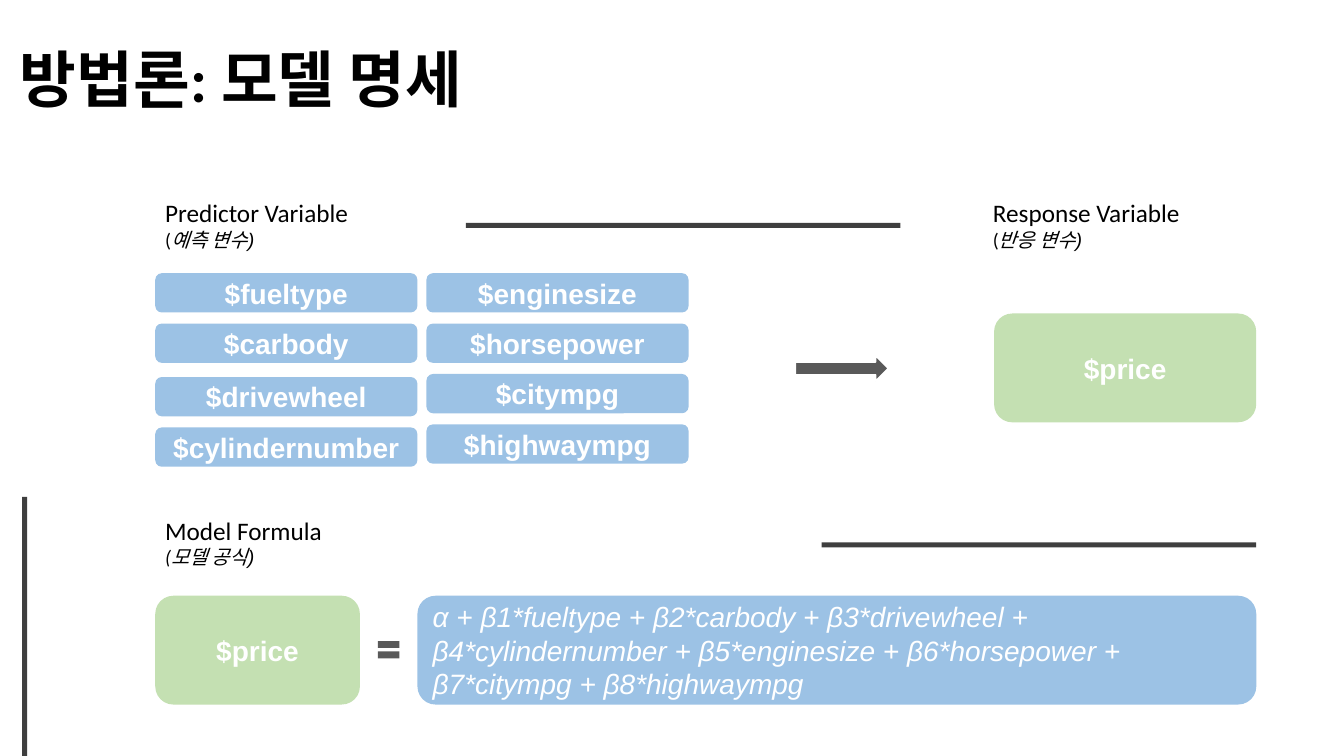
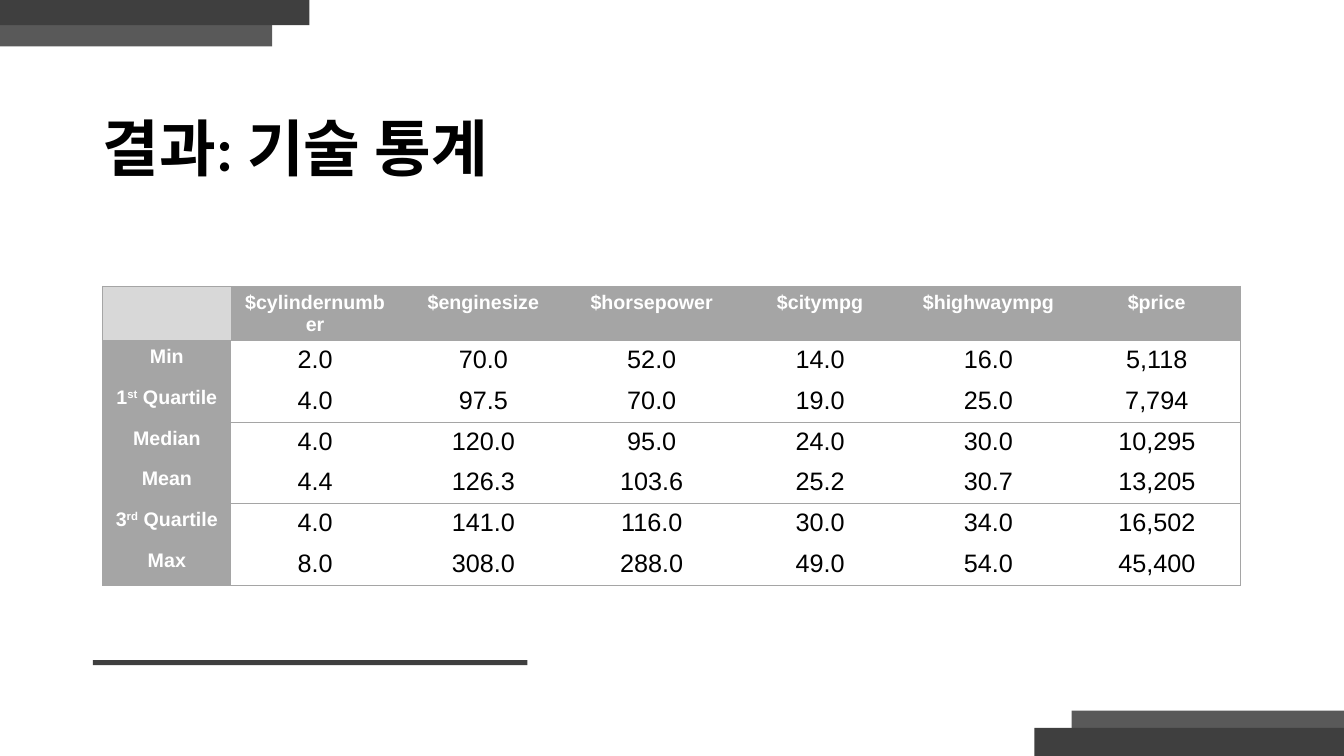
import lxml.etree
import pptx
import pptx.dml.color
import pptx.enum.shapes
import pptx.enum.text
import pptx.oxml.ns
import pptx.util

Inches = pptx.util.Inches
Pt = pptx.util.Pt
RGBColor = pptx.dml.color.RGBColor
SHAPE = pptx.enum.shapes.MSO_SHAPE
ALIGN = pptx.enum.text.PP_ALIGN
ANCHOR = pptx.enum.text.MSO_ANCHOR
qn = pptx.oxml.ns.qn

BLACK = RGBColor(0x00, 0x00, 0x00)
WHITE = RGBColor(0xFF, 0xFF, 0xFF)
DARK = RGBColor(0x3F, 0x3F, 0x3F)
SLATE = RGBColor(0x59, 0x59, 0x59)
GREY = RGBColor(0xA5, 0xA5, 0xA5)
PALE_GREY = RGBColor(0xD8, 0xD8, 0xD8)
BLUE = RGBColor(0x9C, 0xC2, 0xE5)
GREEN = RGBColor(0xC4, 0xE0, 0xB2)

SLIDE_W, SLIDE_H = 13.33, 7.5
RULE_LENGTH, RULE_WEIGHT = 4.31, 0.05
NO_TABLE_STYLE = "{2D5ABB26-0587-4C30-8999-92F81FD0307C}"

PREDICTOR_COLUMNS = [
    [("$fueltype", 0), ("$carbody", 0.5), ("$drivewheel", 1.03), ("$cylindernumber", 1.53)],
    [("$enginesize", 0), ("$horsepower", 0.5), ("$citympg", 1), ("$highwaympg", 1.5)],
]
FORMULA = ("α + β1*fueltype + β2*carbody + β3*drivewheel + β4*cylindernumber + "
           "β5*enginesize + β6*horsepower + β7*citympg + β8*highwaympg")

VARIABLES = ["$cylindernumber", "$enginesize", "$horsepower", "$citympg", "$highwaympg", "$price"]
# Row label as (base, superscript, rest), then one value for each variable.
STATISTICS = [
    (("Min", "", ""), ["2.0", "70.0", "52.0", "14.0", "16.0", "5,118"]),
    (("1", "st", " Quartile"), ["4.0", "97.5", "70.0", "19.0", "25.0", "7,794"]),
    (("Median", "", ""), ["4.0", "120.0", "95.0", "24.0", "30.0", "10,295"]),
    (("Mean", "", ""), ["4.4", "126.3", "103.6", "25.2", "30.7", "13,205"]),
    (("3", "rd", " Quartile"), ["4.0", "141.0", "116.0", "30.0", "34.0", "16,502"]),
    (("Max", "", ""), ["8.0", "308.0", "288.0", "49.0", "54.0", "45,400"]),
]


def set_font(font, size, color, name="Arial", bold=False, italic=False):
    font.size = Pt(size)
    font.name = name
    font.bold = bold
    font.italic = italic
    font.color.rgb = color


def add_block(slide, preset, left, top, width, height, fill):
    """Plain filled shape without outline or shadow."""
    block = slide.shapes.add_shape(preset, Inches(left), Inches(top), Inches(width), Inches(height))
    block.shadow.inherit = False
    block.fill.solid()
    block.fill.fore_color.rgb = fill
    block.line.fill.background()
    return block


def add_rule(slide, left, top):
    add_block(slide, SHAPE.RECTANGLE, left, top, RULE_LENGTH, RULE_WEIGHT, DARK)


def add_text_frame(slide, left, top, width, height):
    box = slide.shapes.add_textbox(Inches(left), Inches(top), Inches(width), Inches(height))
    box.text_frame.word_wrap = True
    return box.text_frame


def add_title(slide, text, left, top, width, height):
    frame = add_text_frame(slide, left, top, width, height)
    frame.vertical_anchor = ANCHOR.MIDDLE
    title = frame.paragraphs[0]
    title.text = text
    title.line_spacing = 0.9
    set_font(title.font, 44, BLACK, "Calibri", bold=True)


def add_caption(slide, left, top, english, korean, slanted_bracket=False):
    frame = add_text_frame(slide, left, top, 2.46, 0.64)
    heading = frame.paragraphs[0]
    heading.text = english
    set_font(heading.font, 18, BLACK, "Calibri")
    translation = frame.add_paragraph()
    bracket = translation.add_run()
    bracket.text = "("
    set_font(bracket.font, 14, BLACK, "Calibri", italic=slanted_bracket)
    words = translation.add_run()
    words.text = korean + ")"
    set_font(words.font, 14, BLACK, italic=True)


def add_tile(slide, text, left, top, width, height, fill, formula=False):
    """Rounded tile: a centred bold variable name or a left-aligned italic formula."""
    tile = add_block(slide, SHAPE.ROUNDED_RECTANGLE, left, top, width, height, fill)
    frame = tile.text_frame
    frame.word_wrap = True
    frame.vertical_anchor = ANCHOR.MIDDLE
    label = frame.paragraphs[0]
    label.text = text
    label.alignment = ALIGN.LEFT if formula else ALIGN.CENTER
    set_font(label.font, 20, WHITE, bold=not formula, italic=formula)


def add_predictors(slide, left, top):
    add_caption(slide, left, top, "Predictor Variable", "예측 변수")
    for column, predictors in enumerate(PREDICTOR_COLUMNS):
        for name, offset in predictors:
            add_tile(slide, name, left + column * 2.69, top + 0.8 + offset, 2.6, 0.39, BLUE)


def add_response(slide, left, top):
    add_caption(slide, left, top, "Response Variable", "반응 변수")
    add_tile(slide, "$price", left + 0.11, top + 1.2, 2.6, 1.08, GREEN)


def add_formula(slide, left, top):
    add_caption(slide, left, top, "Model Formula", "모델 공식", slanted_bracket=True)
    tiles_top = top + 0.85
    add_tile(slide, "$price", left, tiles_top, 2.03, 1.08, GREEN)
    add_block(slide, SHAPE.MATH_EQUAL, left + 2.17, tiles_top + 0.39, 0.29, 0.29, SLATE)
    add_tile(slide, FORMULA, left + 2.6, tiles_top, 8.32, 1.08, BLUE, formula=True)


def add_corner_bands(slide):
    """Stepped pairs of bands in the top left and bottom right corners."""
    for left, top, width, height, fill in [
        (0, 0, 2.7, 0.46, SLATE),
        (0, 0, 3.07, 0.25, DARK),
        (SLIDE_W - 2.7, 7.05, 2.7, SLIDE_H - 7.05, SLATE),
        (SLIDE_W - 3.07, 7.22, 3.07, SLIDE_H - 7.22, DARK),
    ]:
        add_block(slide, SHAPE.RECTANGLE, left, top, width, height, fill)


def set_borders(cell, edges):
    """Draw a thin grey line on each side marked true and none on the others."""
    properties = cell._tc.get_or_add_tcPr()
    for position, (side, drawn) in enumerate(edges.items()):
        line = lxml.etree.Element(qn("a:ln" + side), w=str(Pt(0.75) if drawn else 0))
        if drawn:
            fill = lxml.etree.SubElement(line, qn("a:solidFill"))
            lxml.etree.SubElement(fill, qn("a:srgbClr"), val=str(GREY))
        else:
            lxml.etree.SubElement(line, qn("a:noFill"))
        properties.insert(position, line)


def fill_cell(cell, parts, size, color, bold, background):
    cell.fill.solid()
    cell.fill.fore_color.rgb = background
    paragraph = cell.text_frame.paragraphs[0]
    paragraph.alignment = ALIGN.CENTER
    set_font(paragraph.font, size, color, bold=bold)
    for position, text in enumerate(parts):
        if text:
            run = paragraph.add_run()
            run.text = text
            set_font(run.font, size, color, bold=bold)
            if position == 1:
                run.font._element.set("baseline", "30000")


def add_statistics(slide, left, top):
    rows, columns = len(STATISTICS) + 1, len(VARIABLES) + 1
    widths = [1.27] + [1.67] * len(VARIABLES)
    table = slide.shapes.add_table(rows, columns, Inches(left), Inches(top),
                                   Inches(sum(widths)), Inches(2.84)).table
    table._tbl.tblPr.find(qn("a:tableStyleId")).text = NO_TABLE_STYLE
    for column, width in zip(table.columns, widths):
        column.width = Inches(width)

    fill_cell(table.cell(0, 0), [], 14, WHITE, True, PALE_GREY)
    for column, variable in enumerate(VARIABLES, 1):
        heading = table.cell(0, column)
        fill_cell(heading, [variable], 14, WHITE, True, GREY)
        heading.margin_bottom = Inches(0.02)
    for row, (label, values) in enumerate(STATISTICS, 1):
        fill_cell(table.cell(row, 0), label, 14, WHITE, True, GREY)
        for column, value in enumerate(values, 1):
            fill_cell(table.cell(row, column), [value], 18, BLACK, False, WHITE)

    # Lines enclose the header and each pair of rows below it.
    for row in range(rows):
        for column in range(columns):
            set_borders(table.cell(row, column), {
                "L": column == 0,
                "R": column == columns - 1,
                "T": row == 0 or row % 2 == 1,
                "B": row % 2 == 0,
            })


def build_model_slide(slide):
    add_title(slide, "방법론: 모델 명세", 0.1, 0.09, 11.5, 1.45)
    add_block(slide, SHAPE.RECTANGLE, 0.22, 4.93, RULE_WEIGHT, SLIDE_H - 4.93, DARK)
    add_predictors(slide, 1.54, 1.91)
    add_rule(slide, 4.62, 2.21)
    arrow = add_block(slide, SHAPE.RIGHT_ARROW, 7.89, 3.53, 0.92, 0.25, SLATE)
    arrow.line.color.rgb = WHITE
    arrow.line.width = Pt(1)
    add_response(slide, 9.75, 1.91)
    add_rule(slide, 8.15, 5.38)
    add_formula(slide, 1.54, 5.06)


def build_statistics_slide(slide):
    add_corner_bands(slide)
    add_title(slide, "결과: 기술 통계", 0.92, 1.01, 11.5, 0.99)
    add_statistics(slide, 1.02, 2.84)
    add_rule(slide, 0.92, 6.55)


def main():
    presentation = pptx.Presentation()
    presentation.slide_width = Inches(SLIDE_W)
    presentation.slide_height = Inches(SLIDE_H)
    blank = presentation.slide_layouts[6]
    for build in (build_model_slide, build_statistics_slide):
        build(presentation.slides.add_slide(blank))
    presentation.save("out.pptx")


if __name__ == "__main__":
    main()
